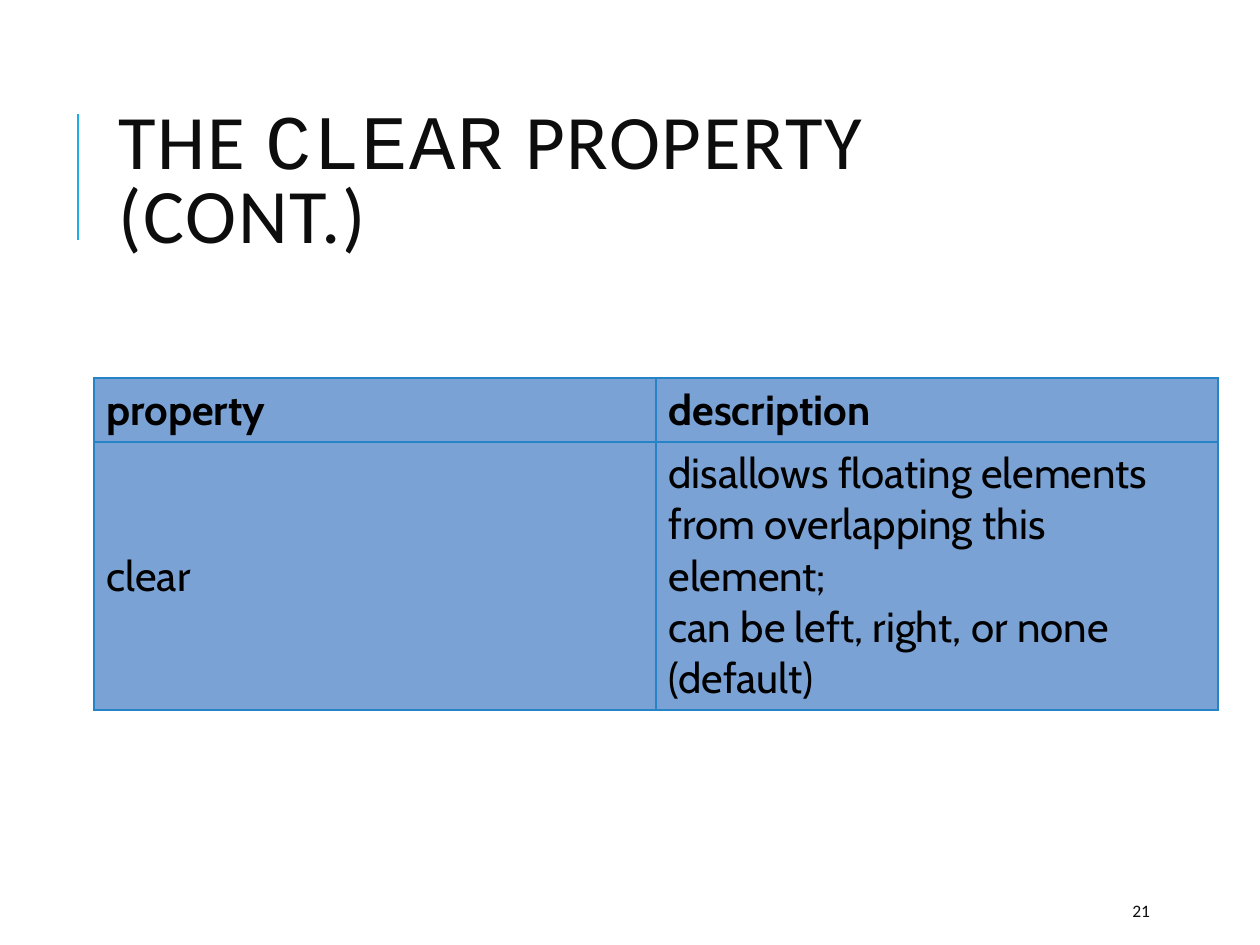
from dataclasses import dataclass

from lxml import etree
from pptx import Presentation
from pptx.dml.color import RGBColor
from pptx.enum.shapes import MSO_CONNECTOR
from pptx.enum.text import MSO_ANCHOR
from pptx.oxml.ns import qn
from pptx.util import Emu, Pt

STRAIGHT = MSO_CONNECTOR.STRAIGHT
MIDDLE = MSO_ANCHOR.MIDDLE
EMU_PER_PX = 914400 / 126


@dataclass(frozen=True)
class Theme:
    """Colours, fonts and type sizes of the slide."""

    ink: str = "0D0D0D"
    accent: str = "1CADE4"
    cell_fill: str = "7AA2D4"
    cell_text: str = "000000"
    border: str = "2683C6"
    heading_font: str = "Calibri"
    code_font: str = "Courier New"
    table_font: str = "Cabin"
    title_size: int = 44
    table_size: int = 24
    number_size: int = 10
    accent_width: float = 1.5
    border_width: float = 0.75


THEME = Theme()


def px(length):
    """Turn pixels into EMU."""
    return Emu(round(length * EMU_PER_PX))


def style_run(run, font, size, color, bold=False):
    """Set the typeface, size, colour and weight of a run."""
    run.font.name = font
    run.font.size = Pt(size)
    run.font.color.rgb = RGBColor.from_string(color)
    run.font.bold = bold


def add_text(slide, box, parts, size):
    """Add a one-paragraph text box made of (text, font) parts."""
    shape = slide.shapes.add_textbox(*map(px, box))
    frame = shape.text_frame
    frame.word_wrap = True
    frame.vertical_anchor = MIDDLE
    paragraph = frame.paragraphs[0]
    for text, font in parts:
        run = paragraph.add_run()
        run.text = text
        style_run(run, font, size, THEME.ink)
    return paragraph


def add_title(slide, box, parts):
    """Add the title with tight lines and spaced letters."""
    paragraph = add_text(slide, box, parts, THEME.title_size)
    paragraph.line_spacing = 0.8
    for run in paragraph.runs:
        run.font._element.set("spc", "100")


def add_accent_line(slide, x, top, bottom):
    """Add the vertical accent line beside the title."""
    line = slide.shapes.add_connector(STRAIGHT, px(x), px(bottom), px(x), px(top))
    line.line.color.rgb = RGBColor.from_string(THEME.accent)
    line.line.width = Pt(THEME.accent_width)
    etree.SubElement(line._element.spPr, qn("a:effectLst"))


def format_cell(cell, text, bold):
    """Fill a cell with text, background and borders."""
    cell.text_frame.text = text
    cell.vertical_anchor = MIDDLE
    for run in cell.text_frame.paragraphs[0].runs:
        style_run(run, THEME.table_font, THEME.table_size, THEME.cell_text, bold)
    properties = cell._tc.get_or_add_tcPr()
    for side in ("a:lnL", "a:lnR", "a:lnT", "a:lnB"):
        border = etree.SubElement(properties, qn(side), w=str(Pt(THEME.border_width)))
        fill = etree.SubElement(border, qn("a:solidFill"))
        etree.SubElement(fill, qn("a:srgbClr"), val=THEME.border)
    cell.fill.solid()
    cell.fill.fore_color.rgb = RGBColor.from_string(THEME.cell_fill)


def add_property_table(slide, left, top, column_width, row_heights, rows):
    """Add the table of properties with a bold header row."""
    columns = len(rows[0])
    frame = slide.shapes.add_table(
        len(rows), columns, px(left), px(top),
        px(column_width * columns), px(sum(row_heights)),
    )
    table = frame.table
    for column in table.columns:
        column.width = px(column_width)
    for index, (height, texts) in enumerate(zip(row_heights, rows)):
        table.rows[index].height = px(height)
        for cell, text in zip(table.rows[index].cells, texts):
            format_cell(cell, text, bold=index == 0)


def main():
    """Build the slide and save it."""
    presentation = Presentation()
    presentation.slide_width = px(1260)
    presentation.slide_height = px(945)
    slide = presentation.slides.add_slide(presentation.slide_layouts[6])

    add_accent_line(slide, 78, 114, 240)
    add_title(slide, (106, 81, 1004, 207), [
        ("THE ", THEME.heading_font),
        ("CLEAR", THEME.code_font),
        (" PROPERTY (CONT.)", THEME.heading_font),
    ])
    add_property_table(slide, 94, 378, 562, (64, 268), [
        ("property", "description"),
        ("clear", "disallows floating elements from overlapping this element; \v"
                  "can be left, right, or none (default)"),
    ])
    add_text(slide, (1120, 892, 101, 38), [("21", THEME.heading_font)], THEME.number_size)

    presentation.save("out.pptx")


if __name__ == "__main__":
    main()
